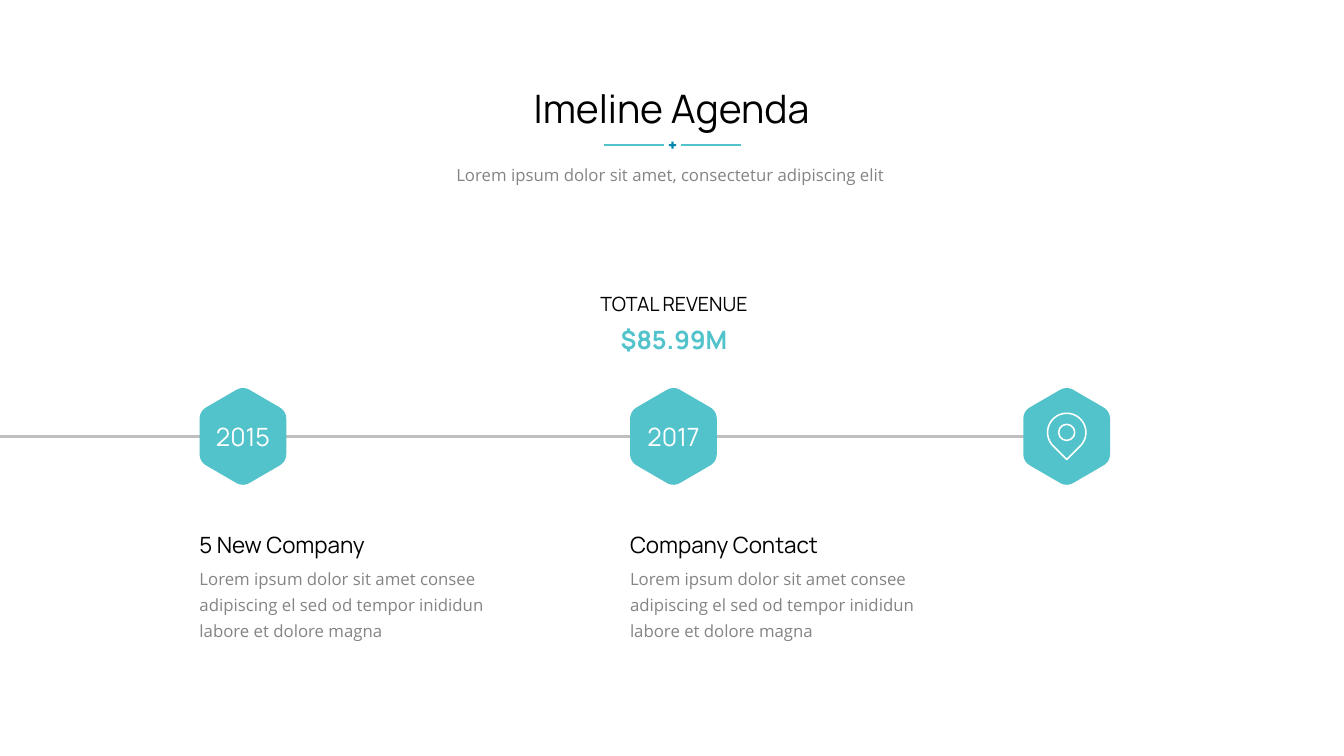
from math import cos, hypot, pi, sin

from lxml import etree
from pptx import Presentation
from pptx import util as u
from pptx.dml.color import RGBColor
from pptx.enum import shapes, text
from pptx.oxml.ns import qn


def color(code):
    return RGBColor.from_string(code)


class Board:
    teal, blue, gray = "52C3CB", "0187AD", "BFBFBF"
    white = "FFFFFF"
    title = {"name": "Manrope", "size": 28, "color": "000000"}
    head = {**title, "size": 16}
    label = {**title, "size": 14}
    value = {**title, "size": 18, "color": teal, "bold": True}
    year = {**title, "size": 18, "color": white}
    body = {"name": "Open Sans", "size": 12, "color": "848484"}

    def __init__(self, slide):
        self.slide = slide

    def line(self, x1, x2, y, code, width):
        ends = [u.Inches(v) for v in (x1, y, x2, y)]
        link = self.slide.shapes.add_connector(shapes.MSO_CONNECTOR.STRAIGHT, *ends)
        link.line.color.rgb = color(code)
        link.line.width = u.Pt(width)
        etree.SubElement(link._element.spPr, qn("a:effectLst"))

    def paint(self, shape, fill=None, edge=None):
        shape.shadow.inherit = False
        if fill:
            shape.fill.solid()
            shape.fill.fore_color.rgb = color(fill)
        else:
            shape.fill.background()
        if edge:
            shape.line.color.rgb = color(edge)
            shape.line.width = u.Pt(1.1)
        else:
            shape.line.fill.background()

    def preset(self, kind, x, y, size, **look):
        box = [u.Inches(v) for v in (x - size / 2, y - size / 2, size, size)]
        shape = self.slide.shapes.add_shape(kind, *box)
        self.paint(shape, **look)
        return shape

    def outline(self, points, **look):
        first, *rest = [(u.Inches(x), u.Inches(y)) for x, y in points]
        pen = self.slide.shapes.build_freeform(*first, scale=1.0)
        pen.add_line_segments(rest, close=True)
        self.paint(pen.convert_to_shape(), **look)

    def hexagon(self, x, y):
        tips = [(0, -0.5), (0.43, -0.25), (0.43, 0.25),
                (0, 0.5), (-0.43, 0.25), (-0.43, -0.25)]
        points = []
        for i, tip in enumerate(tips):
            ends = []
            for near in (tips[i - 1], tips[(i + 1) % 6]):
                dx, dy = near[0] - tip[0], near[1] - tip[1]
                cut = 0.08 / hypot(dx, dy)
                ends.append((tip[0] + dx * cut, tip[1] + dy * cut))
            for step in range(9):
                t = step / 8
                px, py = [(1 - t) ** 2 * a + 2 * t * (1 - t) * b + t * t * c
                          for a, b, c in zip(ends[0], tip, ends[1])]
                points.append((x + px, y + py))
        self.outline(points, fill=self.teal)

    def pin(self, x, y, r):
        turns = [pi * (0.75 + 1.5 * i / 48) for i in range(49)]
        points = [(x + r * cos(a), y + r * sin(a)) for a in turns]
        self.outline(points + [(x, y + r * 2 ** 0.5)], edge=self.white)
        self.preset(shapes.MSO_SHAPE.OVAL, x, y, 0.16, edge=self.white)

    def text(self, box, lines, center=False, space=1.0, wrap=True):
        shape = self.slide.shapes.add_textbox(*[u.Inches(v) for v in box])
        frame = shape.text_frame
        frame.word_wrap = wrap
        frame.auto_size = text.MSO_AUTO_SIZE.SHAPE_TO_FIT_TEXT
        for i, (words, style) in enumerate(lines):
            para = frame.add_paragraph() if i else frame.paragraphs[0]
            para.line_spacing = space
            para.alignment = text.PP_ALIGN.CENTER if center else text.PP_ALIGN.LEFT
            run = para.add_run()
            run.text = words
            for key, val in style.items():
                if key == "color":
                    run.font.color.rgb = color(val)
                else:
                    setattr(run.font, key, u.Pt(val) if key == "size" else val)


def main():
    deck = Presentation()
    deck.slide_width, deck.slide_height = u.Inches(13.33), u.Inches(7.5)
    board = Board(deck.slides.add_slide(deck.slide_layouts[6]))

    mid = 4.33
    board.line(0, 10.78, mid, board.gray, 2)
    board.hexagon(10.58, mid)
    board.pin(10.58, 4.29, 0.19)

    board.text((5.76, 2.78, 1.85, 0.77),
               [("TOTAL REVENUE", board.label), ("$85.99M", board.value)],
               center=True, space=1.3, wrap=False)

    note = ("Lorem ipsum dolor sit amet consee adipiscing el sed od "
            "tempor inididun labore et dolore magna")
    stops = [(2.41, "2015", "5 New Company"), (6.68, "2017", "Company Contact")]
    for x, year, head in stops:
        board.hexagon(x, mid)
        board.text((x - 0.39, 4.13, 0.78, 0.4), [(year, board.year)],
                   center=True, wrap=False)
        board.text((x - 0.53, 5.18, 2.51, 0.39), [(head, board.head)], space=1.14)
        board.text((x - 0.53, 5.53, 3.38, 0.87), [(note, board.body)], space=1.3)

    for x in (6.75, 5.99):
        board.line(x, x + 0.6, 1.44, board.teal, 1.5)
    plus = board.preset(shapes.MSO_SHAPE.CROSS, 6.67, 1.44, 0.07, fill=board.blue)
    plus.adjustments[0] = 0.35
    board.text((4.27, 0.79, 4.78, 0.57), [("Imeline Agenda", board.title)], center=True)
    board.text((3.21, 1.53, 6.88, 0.34),
               [("Lorem ipsum dolor sit amet, consectetur adipiscing elit", board.body)],
               center=True, space=1.3)
    deck.save("out.pptx")


if __name__ == "__main__":
    main()
